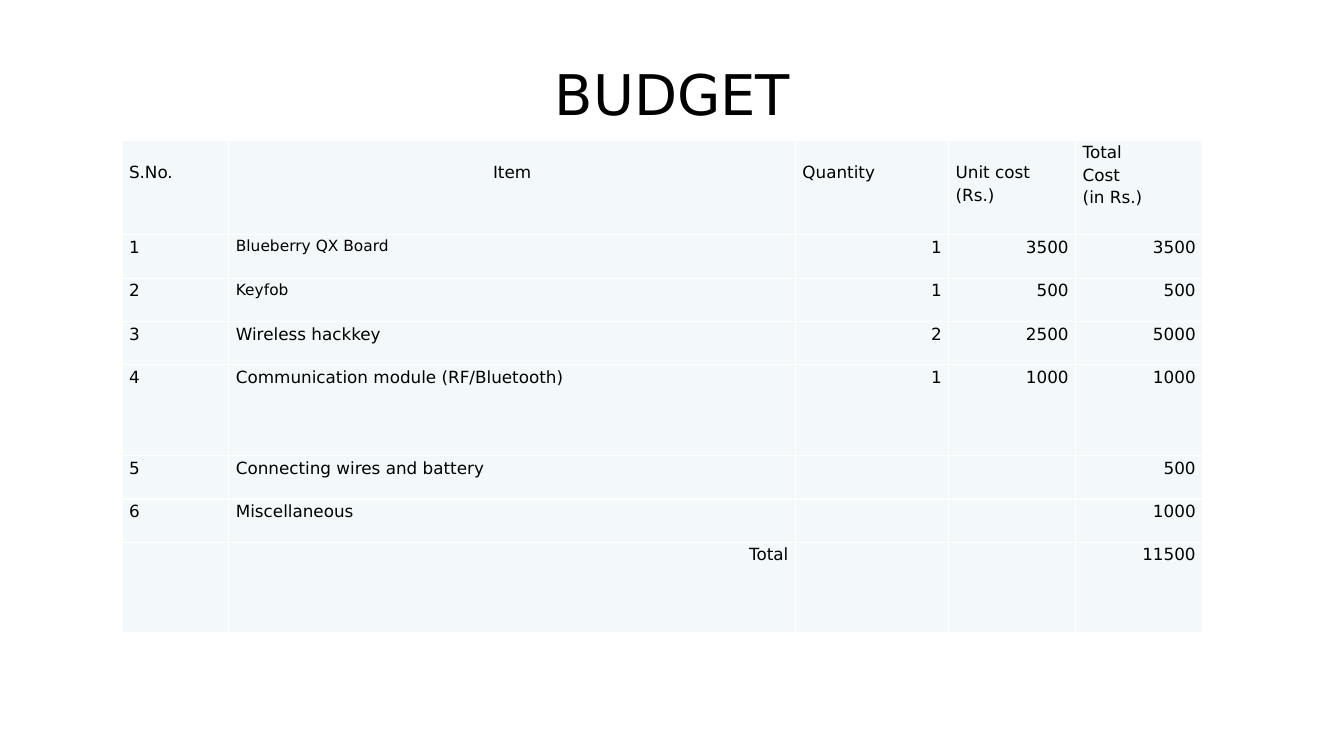
from lxml import etree
from pptx import Presentation
from pptx.dml.color import RGBColor
from pptx.enum import text
from pptx.oxml import ns
from pptx.util import Inches, Pt

COLORS = {"ink": "000000", "cell": "F3F9FA", "border": "FFFFFF"}
FONT = "DejaVu Sans"
COLUMNS = [1.06, 5.62, 1.52, 1.26, 1.26]
HEADER, SINGLE, DOUBLE = 0.94, 0.43, 0.9
HEIGHTS = [HEADER] + [SINGLE] * 3 + [DOUBLE] + [SINGLE] * 2 + [DOUBLE]
BUDGET = [
    ["S.No.", "Item", "Quantity", "Unit cost (Rs.)", "Total\nCost\n(in Rs.)"],
    ["1", "Blueberry QX Board", "1", "3500", "3500"],
    ["2", "Keyfob", "1", "500", "500"],
    ["3", "Wireless hackkey", "2", "2500", "5000"],
    ["4", "Communication module (RF/Bluetooth)", "1", "1000", "1000"],
    ["5", "Connecting wires and battery", "", "", "500"],
    ["6", "Miscellaneous", "", "", "1000"],
    ["", "Total", "", "", "11500"],
]
SMALL_ITEMS = {"Blueberry QX Board", "Keyfob"}


def format_text(frame, size, align, spacing=None):
    for para in frame.paragraphs:
        para.alignment = align
        para.line_spacing = spacing
        for span in para.runs:
            span.font.name = FONT
            span.font.size = Pt(size)
            span.font.color.rgb = RGBColor.from_string(COLORS["ink"])


def add_borders(cell):
    properties = cell._tc.get_or_add_tcPr()
    for index, side in enumerate(("lnL", "lnR", "lnT", "lnB")):
        line = etree.Element(ns.qn(f"a:{side}"), w=str(Pt(1)))
        fill = etree.SubElement(line, ns.qn("a:solidFill"))
        etree.SubElement(fill, ns.qn("a:srgbClr"), val=COLORS["border"])
        properties.insert(index, line)


def alignment(row, column):
    if row == 0:
        return text.PP_ALIGN.CENTER if column == 1 else text.PP_ALIGN.LEFT
    is_total = row == len(BUDGET) - 1
    return text.PP_ALIGN.RIGHT if column > 1 or is_total else text.PP_ALIGN.LEFT


def fill_cell(cell, row, column):
    content = BUDGET[row][column]
    cell.text_frame.text = content
    cell.margin_left = cell.margin_right = Inches(0.07)
    cell.margin_top = cell.margin_bottom = 0
    if row == 0 and "\n" not in content:
        cell.margin_top = Inches(0.2)
    cell.fill.solid()
    cell.fill.fore_color.rgb = RGBColor.from_string(COLORS["cell"])
    add_borders(cell)
    size = 11 if content in SMALL_ITEMS else 12
    format_text(cell.text_frame, size, alignment(row, column), 1.15)


def add_title(page, title):
    box = page.shapes.title
    box.left, box.top = Inches(0.67), Inches(0.3)
    box.width, box.height = Inches(12), Inches(1.25)
    box.text_frame.text = title
    box.text_frame.vertical_anchor = text.MSO_ANCHOR.MIDDLE
    format_text(box.text_frame, 40, text.PP_ALIGN.CENTER)


def add_budget_table(page):
    frame = page.shapes.add_table(
        len(HEIGHTS), len(COLUMNS), Inches(1.21), Inches(1.39),
        Inches(sum(COLUMNS)), Inches(sum(HEIGHTS)))
    table = frame.table
    table.first_row = table.horz_banding = False
    for column, width in zip(table.columns, COLUMNS):
        column.width = Inches(width)
    for row, height in zip(table.rows, HEIGHTS):
        row.height = Inches(height)
    for row in range(len(HEIGHTS)):
        for column in range(len(COLUMNS)):
            fill_cell(table.cell(row, column), row, column)


def main():
    deck = Presentation()
    deck.slide_width, deck.slide_height = Inches(13.33), Inches(7.5)
    page = deck.slides.add_slide(deck.slide_layouts[5])
    add_title(page, "BUDGET")
    add_budget_table(page)
    deck.save("out.pptx")


if __name__ == "__main__":
    main()
